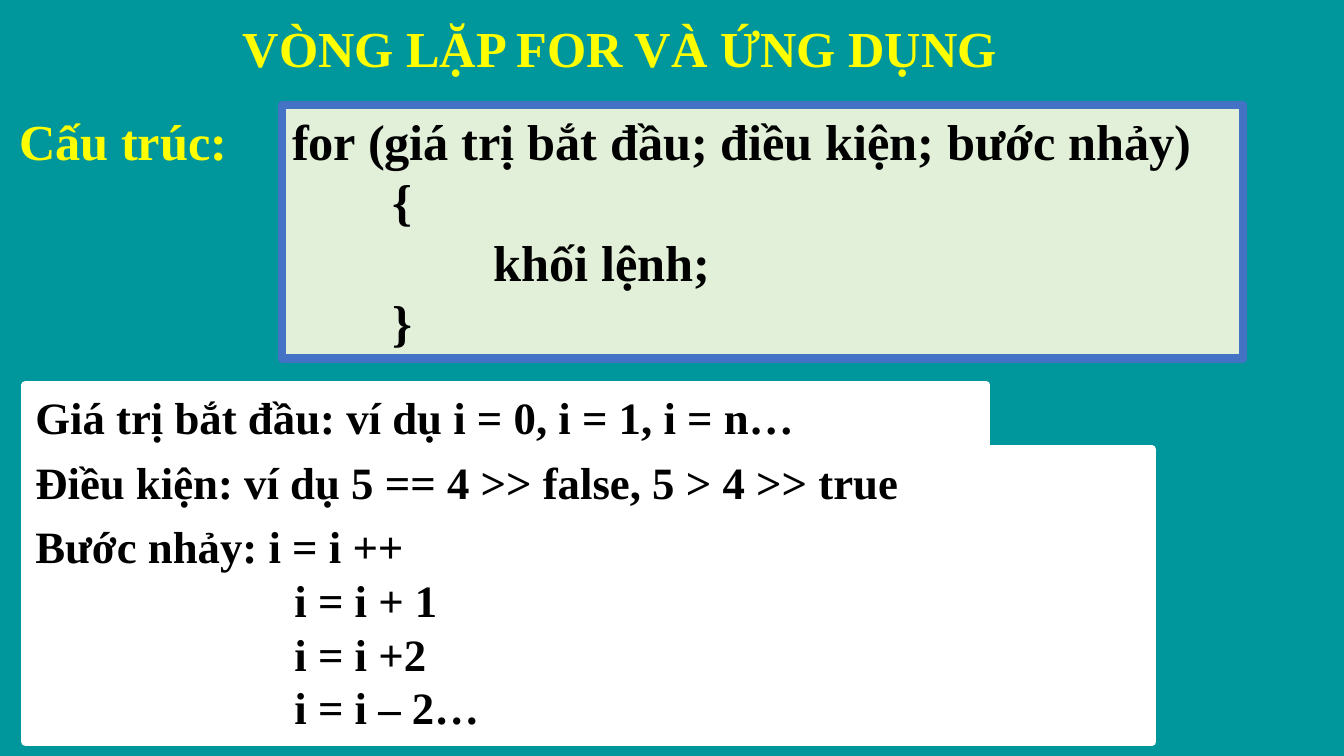
from dataclasses import dataclass

from pptx import Presentation
from pptx import util as u
from pptx.dml.color import RGBColor
from pptx.enum import shapes, text

FONT = "Times New Roman"
YELLOW, BLACK, WHITE = "FFFF00", "000000", "FFFFFF"
GREEN, BLUE, TEAL = "E2F0D9", "4472C4", "00979C"
TAB = 2.54
STEP_INDENT = 6.53


@dataclass
class Line:
    text: str
    indent: float = 0


@dataclass
class Panel:
    left: float
    top: float
    width: float
    height: float
    fill: str
    border: str
    size: int
    lines: list[Line]


PANELS = [
    Panel(7.11, 2.64, 24.21, 6.4, GREEN, BLUE, 36, [
        Line("for (giá trị bắt đầu; điều kiện; bước nhảy)"),
        Line("{", TAB),
        Line("khối lệnh;", 2 * TAB),
        Line("}", TAB),
    ]),
    Panel(0.64, 9.7, 24.21, 1.63, WHITE, WHITE, 32, [
        Line("Giá trị bắt đầu: ví dụ i = 0, i = 1, i = n…"),
    ]),
    Panel(0.64, 11.33, 28.4, 1.63, WHITE, WHITE, 32, [
        Line("Điều kiện: ví dụ 5 == 4 >> false, 5 > 4 >> true"),
    ]),
    Panel(0.64, 12.95, 28.4, 5.74, WHITE, WHITE, 32, [
        Line("Bước nhảy: i = i ++"),
        Line("i = i + 1", STEP_INDENT),
        Line("i = i +2", STEP_INDENT),
        Line("i = i – 2…", STEP_INDENT),
    ]),
]


def color(value: str) -> RGBColor:
    return RGBColor.from_string(value)


def write(sp, lines: list[Line], size: int, font_color: str,
          align=text.PP_ALIGN.LEFT) -> None:
    tf = sp.text_frame
    tf.word_wrap = True
    tf.auto_size = text.MSO_AUTO_SIZE.NONE
    tf.vertical_anchor = text.MSO_ANCHOR.TOP
    for i, line in enumerate(lines):
        p = tf.add_paragraph() if i else tf.paragraphs[0]
        p.alignment = align
        if line.indent:
            p._p.get_or_add_pPr().set("marL", str(u.Cm(line.indent)))
        r = p.add_run()
        r.text = line.text
        r.font.name = FONT
        r.font.size = u.Pt(size)
        r.font.bold = True
        r.font.color.rgb = color(font_color)


def add_panel(s, panel: Panel) -> None:
    sp = s.shapes.add_shape(
        shapes.MSO_SHAPE.RECTANGLE, u.Cm(panel.left), u.Cm(panel.top),
        u.Cm(panel.width), u.Cm(panel.height))
    sp.shadow.inherit = False
    sp.fill.solid()
    sp.fill.fore_color.rgb = color(panel.fill)
    sp.line.color.rgb = color(panel.border)
    sp.line.width = u.Pt(6)
    write(sp, panel.lines, panel.size, BLACK)


def main() -> None:
    prs = Presentation()
    prs.slide_width, prs.slide_height = u.Cm(33.87), u.Cm(19.05)
    s = prs.slides.add_slide(prs.slide_layouts[5])
    s.background.fill.solid()
    s.background.fill.fore_color.rgb = color(TEAL)

    title = s.shapes.title
    title.left, title.top = u.Cm(0.64), u.Cm(0.3)
    title.width, title.height = u.Cm(29.97), u.Cm(1.8)
    write(title, [Line("VÒNG LẶP FOR VÀ ỨNG DỤNG")], 36, YELLOW,
          text.PP_ALIGN.CENTER)

    label = s.shapes.add_textbox(u.Cm(0.23), u.Cm(2.64), u.Cm(6.3), u.Cm(1.8))
    write(label, [Line("Cấu trúc:")], 36, YELLOW)

    for panel in PANELS:
        add_panel(s, panel)
    prs.save("out.pptx")


if __name__ == "__main__":
    main()
